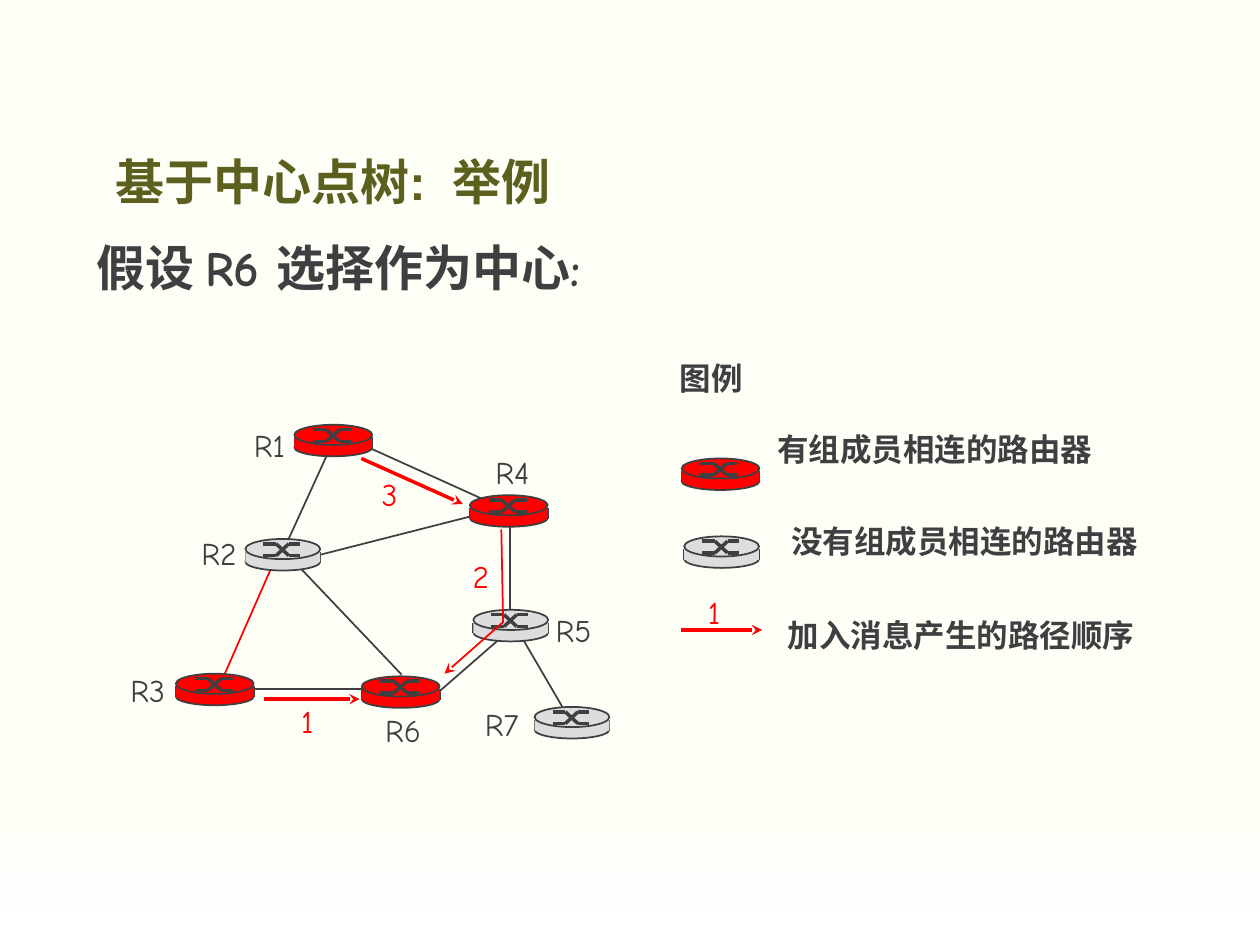
from dataclasses import dataclass
from typing import Optional

from lxml.etree import SubElement
from pptx import Presentation
from pptx.dml.color import RGBColor as Color
from pptx.enum.shapes import MSO_CONNECTOR as Connector, MSO_SHAPE as Preset
from pptx.enum.text import MSO_ANCHOR as Anchor, MSO_AUTO_SIZE as AutoSize, PP_ALIGN as Align
from pptx.oxml.ns import qn
from pptx.util import Pt


@dataclass(frozen=True)
class Theme:
    paper: Color = Color(0xFD, 0xFF, 0xF7)
    white: Color = Color(0xFF, 0xFF, 0xFF)
    title: Color = Color(0x5D, 0x5F, 0x1F)
    ink: Color = Color(0x3D, 0x3F, 0x41)
    red: Color = Color(0xFF, 0x00, 0x00)
    gray: Color = Color(0xDD, 0xDD, 0xDD)
    title_font: str = "Arial"
    body_font: str = "Comic Neue"
    heading_size: float = 28
    label_size: float = 18
    thin: float = 1
    thick: float = 2


THEME = Theme()


@dataclass(frozen=True)
class Line:
    x1: float
    y1: float
    x2: float
    y2: float
    color: Color = THEME.ink
    width: float = THEME.thin
    arrow: bool = False


@dataclass(frozen=True)
class Router:
    left: float
    top: float
    member: bool


@dataclass(frozen=True)
class Label:
    text: str
    left: float
    top: float
    width: float = 36.5
    height: float = 29
    color: Color = THEME.ink
    size: float = THEME.label_size
    bold: bool = False
    wrap: bool = False
    grow: bool = True


LINKS = [
    Line(294, 357, 325.5, 411),
    Line(183, 317, 291, 289.5),
    Line(162, 314.5, 229.5, 385.5),
    Line(209, 255, 286.5, 290),
    Line(250, 396, 292.5, 359),
    Line(291.5, 298, 291.5, 354),
    Line(136, 393.75, 216.5, 393.75),
    Line(155.5, 323.5, 126.5, 389.5, THEME.red),
    Line(188.5, 256.5, 161.5, 315.5),
]
ROUTERS = [
    Router(206.75, 386.5, True),
    Router(268.5, 283, True),
    Router(100.5, 385, True),
    Router(270.5, 348.5, False),
    Router(140.25, 308, False),
    Router(168.25, 242.75, True),
    Router(305.5, 404, False),
    Router(389.5, 262, True),
    Router(391, 306.5, False),
]
LABELS = [
    Label("假设 R6 选择作为中心:", 48, 132, 630, 366, size=THEME.heading_size,
          bold=True, wrap=True, grow=False),
    Label("R1", 138, 240, 34),
    Label("R2", 108, 301.5),
    Label("R3", 67.5, 380),
    Label("R4", 276, 255.5),
    Label("R5", 310.5, 345.5),
    Label("R6", 213, 403),
    Label("R7", 270, 399.5),
    Label("图例", 381.5, 201.5, 50.5, bold=True),
    Label("有组成员相连的路由器", 437, 242, 196, bold=True),
    Label("没有组成员相连的路由器", 445, 294.5, 214, bold=True),
    Label("加入消息产生的路径顺序", 443, 348.5, 238, bold=True, wrap=True),
    Label("1", 397.5, 335.5, 22.5, color=THEME.red),
    Label("1", 165, 397.5, 22.5, color=THEME.red),
    Label("2", 263, 314.5, 25, color=THEME.red),
    Label("3", 211, 268, 25, color=THEME.red),
]
JOIN_ARROWS = [
    Line(x1, y1, x2, y2, THEME.red, THEME.thick, True)
    for x1, y1, x2, y2 in [
        (389, 360, 435.5, 360),
        (151, 399.5, 205.5, 399.5),
        (206.5, 262, 264.5, 288),
    ]
]
JOIN_PATH = [(286.5, 302.5), (287.5, 355.5), (254, 385)]


def style_line(shape, color: Color, width: float, arrow: bool = False) -> None:
    shape.line.color.rgb = color
    shape.line.width = Pt(width)
    if arrow:
        outline = shape.element.spPr.find(qn("a:ln"))
        SubElement(outline, qn("a:tailEnd"), type="stealth")


def draw_line(shapes, line: Line) -> None:
    connector = shapes.add_connector(
        Connector.STRAIGHT, Pt(line.x1), Pt(line.y1), Pt(line.x2), Pt(line.y2))
    style_line(connector, line.color, line.width, line.arrow)
    SubElement(connector.element.spPr, qn("a:effectLst"))


def draw_solid(shapes, preset: Preset, left: float, top: float, width: float,
               height: float, fill: Color, outline: Optional[Color]) -> None:
    shape = shapes.add_shape(preset, Pt(left), Pt(top), Pt(width), Pt(height))
    shape.shadow.inherit = False
    shape.fill.solid()
    shape.fill.fore_color.rgb = fill
    if outline is None:
        shape.line.fill.background()
    else:
        style_line(shape, outline, THEME.thin)


def draw_router(slide, router: Router) -> None:
    shapes = slide.shapes.add_group_shape().shapes
    left, top = router.left, router.top
    width = 44.5 if router.member else 42.75
    fill = THEME.red if router.member else THEME.gray
    side_top, side_bottom = top + 7.25, top + 13.5
    draw_solid(shapes, Preset.OVAL, left, top + 8, width, 10, fill, THEME.ink)
    for x in (left, left + width):
        draw_line(shapes, Line(x, side_top, x, side_bottom))
    draw_solid(shapes, Preset.RECTANGLE, left, side_top, width, side_bottom - side_top, fill, None)
    draw_solid(shapes, Preset.OVAL, left, top, width, 11.5, fill, THEME.ink)
    outer_left, inner_left, inner_right, outer_right = (
        left + width * share for share in (0.24, 0.41, 0.58, 0.73))
    upper, lower = top + 2.75, top + 9.5
    for start, end in ((upper, lower), (lower, upper)):
        draw_line(shapes, Line(outer_left, start, inner_left, start, width=THEME.thick))
        draw_line(shapes, Line(inner_left, start, inner_right, end, width=THEME.thick))
        draw_line(shapes, Line(inner_right, end, outer_right, end, width=THEME.thick))


def draw_label(slide, label: Label) -> None:
    box = slide.shapes.add_textbox(
        Pt(label.left), Pt(label.top), Pt(label.width), Pt(label.height))
    frame = box.text_frame
    frame.word_wrap = label.wrap
    frame.auto_size = AutoSize.SHAPE_TO_FIT_TEXT if label.grow else AutoSize.NONE
    write(frame, label.text, THEME.body_font, label.size, label.color, label.bold)


def write(frame, text: str, font_name: str, size: float, color: Color, bold: bool) -> None:
    paragraph = frame.paragraphs[0]
    paragraph.text = text
    paragraph.alignment = Align.LEFT
    font = paragraph.font
    font.name, font.size, font.bold = font_name, Pt(size), bold
    font.color.rgb = color


def draw_title(slide, text: str) -> None:
    title = slide.shapes.title
    title.left, title.top, title.width, title.height = Pt(59), Pt(54), Pt(466.5), Pt(70)
    frame = title.text_frame
    frame.vertical_anchor = Anchor.BOTTOM
    frame.auto_size = AutoSize.NONE
    write(frame, text, THEME.title_font, THEME.heading_size, THEME.title, True)
    frame.paragraphs[0].line_spacing = 0.9


def draw_background(slide) -> None:
    fill = slide.background.fill
    fill.gradient()
    fill.gradient_angle = 270
    for stop, position, color in zip(fill.gradient_stops, (0.84, 1), (THEME.paper, THEME.white)):
        stop.position = position
        stop.color.rgb = color


def draw_join_path(slide) -> None:
    points = [(Pt(x), Pt(y)) for x, y in JOIN_PATH]
    builder = slide.shapes.build_freeform(*points[0])
    builder.add_line_segments(points[1:], close=False)
    shape = builder.convert_to_shape()
    shape.shadow.inherit = False
    shape.fill.background()
    style_line(shape, THEME.red, THEME.thin, True)


def main() -> None:
    presentation = Presentation()
    presentation.slide_width, presentation.slide_height = Pt(720), Pt(540)
    slide = presentation.slides.add_slide(presentation.slide_layouts[5])
    draw_background(slide)
    draw_title(slide, "基于中心点树:  举例")
    for link in LINKS:
        draw_line(slide.shapes, link)
    for router in ROUTERS:
        draw_router(slide, router)
    for label in LABELS:
        draw_label(slide, label)
    draw_join_path(slide)
    for arrow in JOIN_ARROWS:
        draw_line(slide.shapes, arrow)
    presentation.save("out.pptx")


if __name__ == "__main__":
    main()
